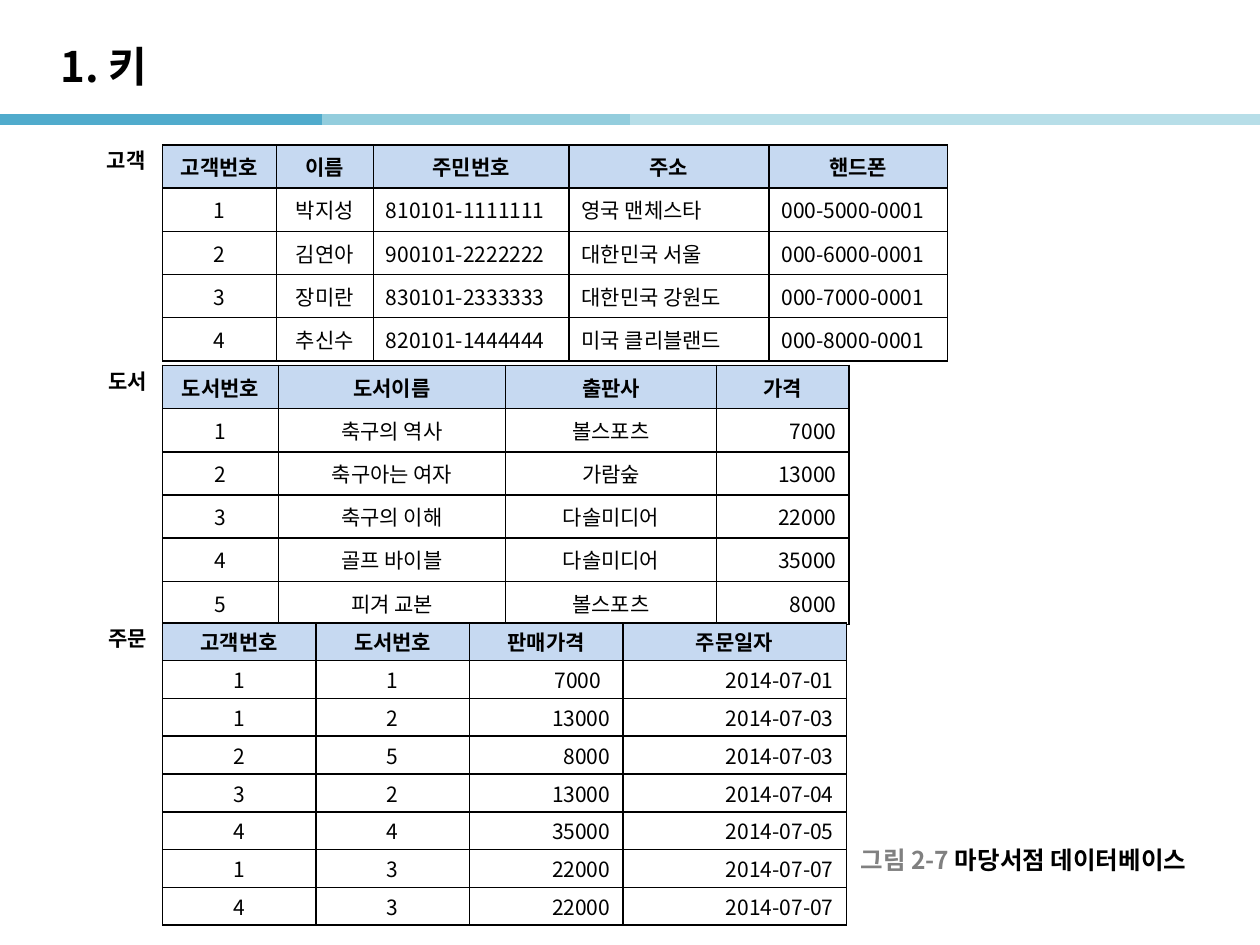
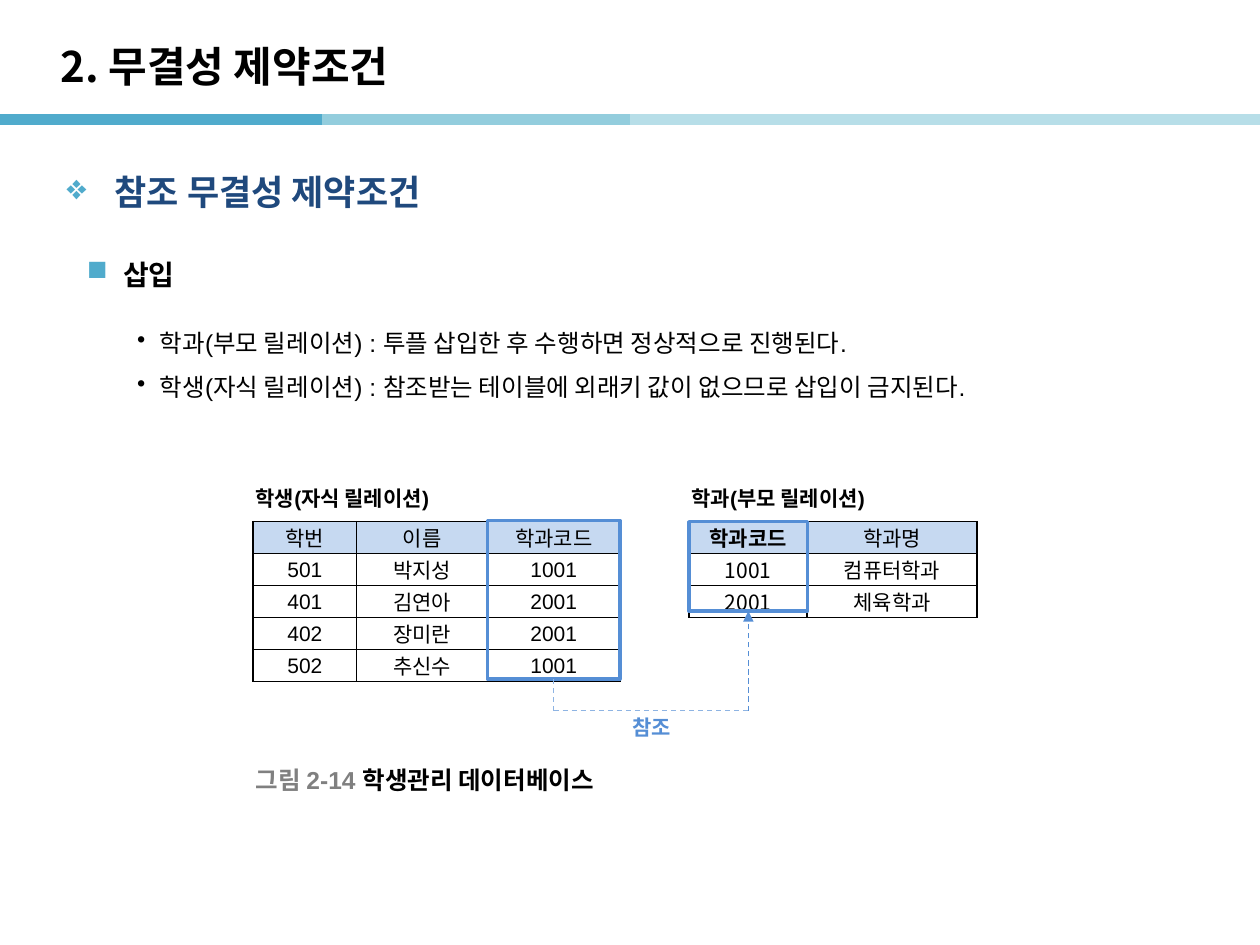
from collections import namedtuple
from lxml.etree import SubElement
from pptx import Presentation
from pptx.dml.color import RGBColor
from pptx.enum.dml import MSO_LINE
from pptx.enum.shapes import MSO_CONNECTOR, MSO_SHAPE
from pptx.enum.text import MSO_ANCHOR as Anchor, PP_ALIGN as Align
from pptx.oxml import parse_xml
from pptx.oxml.ns import nsdecls, qn
from pptx.util import Pt

Theme = namedtuple("Theme", "black white gray navy header accent bands link link_light "
                            "korean latin title heading subheading body small")
theme = Theme(black="000000", white="FFFFFF", gray="808080", navy="1F497D",
              header="C6D9F1", accent="50ABCC", bands=("50ABCC", "93CDDD", "B7DEE8"),
              link="558ED5", link_light="8EB4E3",
              korean="Noto Sans CJK KR", latin="Arial",
              title=24, heading=20, subheading=16, body=14, small=12)
alignments = {"l": Align.LEFT, "c": Align.CENTER, "r": Align.RIGHT}


def write(paragraph, text, size=theme.small, color=theme.black, bold=False,
          font=theme.latin, align="l", bullet=None, bullet_color=theme.black,
          margin=0, hanging=0, line_spacing=None):
    paragraph.alignment = alignments[align]
    if bullet:
        properties = paragraph._p.get_or_add_pPr()
        properties.set("marL", str(Pt(margin)))
        properties.set("indent", str(-Pt(hanging)))
        bullet_fill = SubElement(properties, qn("a:buClr"))
        SubElement(bullet_fill, qn("a:srgbClr"), val=bullet_color)
        SubElement(properties, qn("a:buChar"), char=bullet)
    if line_spacing:
        paragraph.line_spacing = Pt(line_spacing)
    run = paragraph.add_run()
    run.text = text
    run.font.size = Pt(size)
    run.font.bold = bold
    run.font.name = font
    run.font.color.rgb = RGBColor.from_string(color)
    SubElement(run._r.get_or_add_rPr(), qn("a:ea"), typeface=theme.korean)


def add_grid(slide, left, top, widths, row_height, aligns, rows,
             bold_headers=0, font=theme.korean, side=7.2, edge=3.6):
    table = slide.shapes.add_table(len(rows), len(widths), Pt(left), Pt(top),
                                   Pt(sum(widths)), Pt(row_height * len(rows))).table
    table.horz_banding = False
    for column, width in zip(table.columns, widths):
        column.width = Pt(width)
    for row_index, values in enumerate(rows):
        table.rows[row_index].height = Pt(row_height)
        for column_index, value in enumerate(values):
            cell = table.cell(row_index, column_index)
            is_header = row_index == 0
            cell.margin_left = cell.margin_right = Pt(side)
            cell.margin_top = cell.margin_bottom = Pt(edge)
            cell.vertical_anchor = Anchor.MIDDLE
            cell.fill.solid()
            cell.fill.fore_color.rgb = RGBColor.from_string(
                theme.header if is_header else theme.white)
            for position, name in enumerate(("lnL", "lnR", "lnT", "lnB")):
                cell._tc.get_or_add_tcPr().insert(position, parse_xml(
                    f'<a:{name} {nsdecls("a")} w="{Pt(1)}"><a:solidFill>'
                    f'<a:srgbClr val="{theme.black}"/></a:solidFill></a:{name}>'))
            write(cell.text_frame.paragraphs[0], value, font=font,
                  bold=is_header and column_index < bold_headers,
                  align="c" if is_header else aligns[column_index])
    return table


presentation = Presentation()
presentation.slide_width, presentation.slide_height = Pt(720), Pt(540)
layout = presentation.slide_layouts[5]
slides = []
for title_text in ("1. 키", "2. 무결성 제약조건"):
    slide = presentation.slides.add_slide(layout)
    title = slide.shapes.title
    title.left, title.top, title.width, title.height = Pt(27.4), Pt(15.8), Pt(595.4), Pt(43.2)
    title.text_frame.vertical_anchor = Anchor.MIDDLE
    write(title.text_frame.paragraphs[0], title_text, size=theme.title, bold=True,
          font=theme.korean)
    slides.append(slide)
keys_slide, integrity_slide = slides

add_grid(keys_slide, 92.9, 82.8, [65.1, 55.4, 111.7, 114.3, 102], 24.7, "cclll", [
    ["고객번호", "이름", "주민번호", "주소", "핸드폰"],
    ["1", "박지성", "810101-1111111", "영국 맨체스타", "000-5000-0001"],
    ["2", "김연아", "900101-2222222", "대한민국 서울", "000-6000-0001"],
    ["3", "장미란", "830101-2333333", "대한민국 강원도", "000-7000-0001"],
    ["4", "추신수", "820101-1444444", "미국 클리블랜드", "000-8000-0001"],
], bold_headers=5)
add_grid(keys_slide, 92.9, 208.8, [66.3, 129.7, 120.6, 75.7], 24.7, "cccr", [
    ["도서번호", "도서이름", "출판사", "가격"],
    ["1", "축구의 역사", "볼스포츠", "7000"],
    ["2", "축구아는 여자", "가람숲", "13000"],
    ["3", "축구의 이해", "다솔미디어", "22000"],
    ["4", "골프 바이블", "다솔미디어", "35000"],
    ["5", "피겨 교본", "볼스포츠", "8000"],
], bold_headers=4)
orders = add_grid(keys_slide, 92.9, 355.9, [87.7, 87.7, 87.7, 127.7], 21.6, "ccrr", [
    ["고객번호", "도서번호", "판매가격", "주문일자"],
    ["1", "1", "7000", "2014-07-01"],
    ["1", "2", "13000", "2014-07-03"],
    ["2", "5", "8000", "2014-07-03"],
    ["3", "2", "13000", "2014-07-04"],
    ["4", "4", "35000", "2014-07-05"],
    ["1", "3", "22000", "2014-07-07"],
    ["4", "3", "22000", "2014-07-07"],
], bold_headers=4, edge=2)
orders.cell(1, 2).margin_right = Pt(12.4)

add_grid(integrity_slide, 144.7, 298.1, [59, 75, 75.6], 18.3, "ccc", [
    ["학번", "이름", "학과코드"],
    ["501", "박지성", "1001"],
    ["401", "김연아", "2001"],
    ["402", "장미란", "2001"],
    ["502", "추신수", "1001"],
], font=theme.latin, side=0.7, edge=0.4)
add_grid(integrity_slide, 393.8, 298.1, [67.4, 97.2], 18.3, "cc", [
    ["학과코드", "학과명"],
    ["1001", "컴퓨터학과"],
    ["2001", "체육학과"],
], bold_headers=1, side=0.7, edge=0.4)

label = dict(bold=True)
figure_number = dict(size=theme.body, color=theme.gray, bold=True)
figure_name = dict(size=theme.body, bold=True)
point = dict(size=theme.body, bullet="•", margin=27.4, hanging=13, line_spacing=25)
text_boxes = [
    (keys_slide, 54, 80.8, 40, 21.6, [[("고객", label)]]),
    (keys_slide, 54.7, 206.8, 40, 21.6, [[("도서", label)]]),
    (keys_slide, 54.7, 353.7, 40, 21.6, [[("주문", label)]]),
    (keys_slide, 484.6, 480.2, 220, 22.3,
     [[("그림 2-7 ", dict(figure_number, font=theme.korean)),
       ("마당서점 데이터베이스", dict(figure_name, font=theme.korean))]]),
    (integrity_slide, 139, 273.8, 140, 21.6, [[("학생(자식 릴레이션)", label)]]),
    (integrity_slide, 388.1, 273.8, 140, 21.6, [[("학과(부모 릴레이션)", label)]]),
    (integrity_slide, 354.2, 404.8, 99.4, 21.6, [[("참조", dict(bold=True, color=theme.link))]]),
    (integrity_slide, 139, 434.2, 240, 22.3,
     [[("그림 2-14 ", figure_number), ("학생관리 데이터베이스", figure_name)]]),
    (integrity_slide, 31, 90, 635, 38.9,
     [[("참조 무결성 제약조건", dict(size=theme.heading, color=theme.navy, bold=True, bullet="❖",
                             bullet_color=theme.accent, margin=27.4, hanging=27.4))]]),
    (integrity_slide, 42.5, 140.5, 635, 32.4,
     [[("삽입", dict(size=theme.subheading, bold=True, bullet="■",
                   bullet_color=theme.accent, margin=20.9, hanging=20.9))]]),
    (integrity_slide, 56.9, 175.7, 613.4, 57.2,
     [[("학과(부모 릴레이션) : 투플 삽입한 후 수행하면 정상적으로 진행된다.", point)],
      [("학생(자식 릴레이션) : 참조받는 테이블에 외래키 값이 없으므로 삽입이 금지된다.", point)]]),
]
for slide, left, top, width, height, paragraphs in text_boxes:
    frame = slide.shapes.add_textbox(Pt(left), Pt(top), Pt(width), Pt(height)).text_frame
    frame.word_wrap = True
    frame.vertical_anchor = Anchor.MIDDLE if len(paragraphs) == 1 else Anchor.TOP
    for index, runs in enumerate(paragraphs):
        paragraph = frame.add_paragraph() if index else frame.paragraphs[0]
        for text, text_format in runs:
            write(paragraph, text, **text_format)

key_frames = []
for left, top, width, height in ((278.6, 297.4, 75.6, 90.7), (393.8, 298.1, 67.7, 51.1)):
    shape = integrity_slide.shapes.add_shape(MSO_SHAPE.RECTANGLE, Pt(left), Pt(top),
                                             Pt(width), Pt(height))
    shape.shadow.inherit = False
    shape.fill.background()
    shape.line.color.rgb = RGBColor.from_string(theme.link)
    shape.line.width = Pt(2)
    key_frames.append(shape)
foreign_key, primary_key = key_frames

band_y, turn_y = 68.4, 406.1
foreign_x, primary_x = 316.4, 427.65
lines = [(keys_slide, start, band_y, end, band_y, color, 6)
         for start, end, color in zip((0, 184.3, 360), (184.3, 360, 720), theme.bands)]
lines += [
    (integrity_slide, foreign_x, 388.1, foreign_x, turn_y, theme.link_light, 0.75),
    (integrity_slide, foreign_x, turn_y, primary_x, turn_y, theme.link_light, 0.75),
    (integrity_slide, primary_x, turn_y, primary_x, 349.2, theme.link, 0.75),
]
connectors = []
for slide, start_x, start_y, end_x, end_y, color, width in lines:
    connector = slide.shapes.add_connector(MSO_CONNECTOR.STRAIGHT, Pt(start_x), Pt(start_y),
                                           Pt(end_x), Pt(end_y))
    connector.line.color.rgb = RGBColor.from_string(color)
    connector.line.width = Pt(width)
    SubElement(connector.element.spPr, qn("a:effectLst"))
    connectors.append(connector)

bands, links = connectors[:3], connectors[3:]
for number, band in enumerate(bands, start=20):
    band.element.nvCxnSpPr.cNvPr.set("id", str(number))
    layout.shapes.element.append(band.element)
for link in links:
    link.line.dash_style = MSO_LINE.DASH
links[0].begin_connect(foreign_key, 2)
links[-1].end_connect(primary_key, 2)
SubElement(links[-1].line._get_or_add_ln(), qn("a:tailEnd"), type="triangle")

presentation.save("out.pptx")
